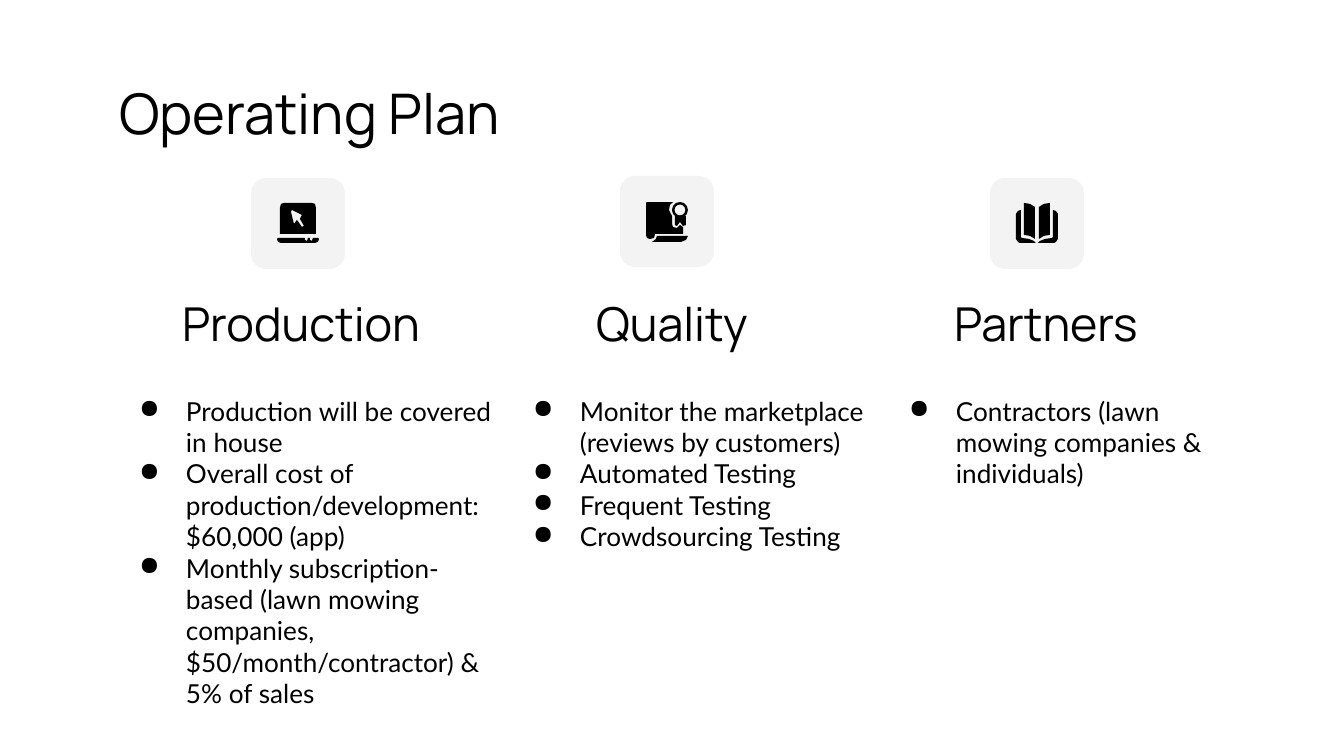
"""Build the Operating Plan slide with its three columns."""
from lxml import etree
from pptx import Presentation
from pptx.dml.color import RGBColor
from pptx.enum.shapes import MSO_SHAPE
from pptx.enum.text import MSO_ANCHOR, MSO_AUTO_SIZE, PP_ALIGN
from pptx.oxml.ns import qn
from pptx.util import Pt

PX = 914400 / 134.4
ROUNDED, DONUT = MSO_SHAPE.ROUNDED_RECTANGLE, MSO_SHAPE.DONUT
TOP, NO_FIT = MSO_ANCHOR.TOP, MSO_AUTO_SIZE.NONE
LEFT, CENTER = PP_ALIGN.LEFT, PP_ALIGN.CENTER
COLORS = {"ink": "000000", "tile": "F3F3F3"}

COLUMNS = [
    {"heading": "Production", "heading_left": 141, "tile": (251, 178),
     "body": (106, 402, 313),
     "bullets": ["Production will be covered in house",
                 "Overall cost of production/development: $60,000 (app)",
                 "Monthly subscription-based (lawn mowing companies, "
                 "$50/month/contractor) & 5% of sales"]},
    {"heading": "Quality", "heading_left": 512, "tile": (620, 176),
     "body": (500, 402, 171),
     "bullets": ["Monitor the marketplace (reviews by customers)",
                 "Automated Testing", "Frequent Testing",
                 "Crowdsourcing Testing"]},
    {"heading": "Partners", "heading_left": 886, "tile": (990, 178),
     "body": (876, 341, 171),
     "bullets": ["Contractors (lawn mowing companies & individuals)"]},
]

BOOK_COVER = [(1021, 210), (1018, 211), (1016, 214), (1016, 239), (1018, 242),
              (1020, 243), (1036, 243), (1034, 241), (1029, 239), (1022, 238),
              (1021, 237)]
BOOK_PAGE = [(1024, 203), (1030, 204), (1035, 207), (1035, 239), (1030, 236),
             (1024, 235)]
BOOK_HALF = [BOOK_COVER, BOOK_PAGE]
LAPTOP_SCREEN = [(284, 203), (281, 204), (280, 208), (280, 234), (316, 234),
                 (316, 208), (315, 204), (312, 203)]
LAPTOP_CURSOR = [(292, 210), (302, 215), (300, 219), (304, 226), (302, 227),
                 (297, 220), (294, 224), (291, 212)]
LAPTOP_BASE = [(278, 238), (277, 239), (278, 242), (281, 243), (315, 243),
               (318, 242), (319, 239), (318, 238), (313, 238), (312, 241),
               (310, 240), (310, 238), (308, 238), (307, 241), (305, 240),
               (305, 238)]
CERTIFICATE_SHEET = [(647, 202), (646, 203), (646, 235), (647, 238), (650, 239),
                     (654, 238), (655, 234), (683, 234), (683, 227), (680, 225),
                     (677, 228), (673, 227), (672, 224), (672, 216), (669, 210),
                     (670, 205), (673, 202)]
CERTIFICATE_FOLD = [(657, 236), (656, 239), (652, 242), (681, 242), (686, 240),
                    (688, 236)]
RIBBON = [(675, 216), (675, 225), (677, 226), (680, 222), (683, 226),
          (686, 225), (686, 216)]
OUTLINES = [[outline] for outline in BOOK_HALF]
OUTLINES += [[[(2074 - x, y) for x, y in outline]] for outline in BOOK_HALF]
OUTLINES += [[LAPTOP_SCREEN, LAPTOP_CURSOR], [LAPTOP_BASE],
             [CERTIFICATE_SHEET], [CERTIFICATE_FOLD], [RIBBON]]


def px(*lengths):
    return [round(length * PX) for length in lengths]


def write(shape, lines, font, size, align):
    frame = shape.text_frame
    frame.word_wrap = True
    frame.auto_size = NO_FIT
    frame.vertical_anchor = TOP
    frame.margin_left, frame.margin_top, frame.margin_right, frame.margin_bottom = px(*[13] * 4)
    frame.text = "\n".join(lines)
    for paragraph in frame.paragraphs:
        paragraph.alignment = align
        paragraph.line_spacing = 1.0
        paragraph.space_before = Pt(0)
        paragraph.font.name = font
        paragraph.font.size = Pt(size)
        paragraph.font.color.rgb = RGBColor.from_string(COLORS["ink"])
    return frame.paragraphs


presentation = Presentation()
presentation.slide_width, presentation.slide_height = px(1344, 756)
slide = presentation.slides.add_slide(presentation.slide_layouts[5])
shapes = slide.shapes

title = shapes.title
title.left, title.top, title.width, title.height = px(106, 66, 1133, 85)
write(title, ["Operating Plan"], "Manrope", 30, LEFT)

painted = []
for column in COLUMNS:
    tile = shapes.add_shape(ROUNDED, *px(*column["tile"], 94, 91))
    painted.append((tile, "tile"))

    heading = shapes.add_textbox(*px(column["heading_left"], 282, 320, 78))
    write(heading, [column["heading"]], "Manrope", 25, CENTER)

    left, width, height = column["body"]
    body = shapes.add_textbox(*px(left, 382, width, height))
    for paragraph in write(body, column["bullets"], "Lato", 14, LEFT):
        properties = paragraph._p.get_or_add_pPr()
        indent, hanging = px(67, -47)
        properties.set("marL", str(indent))
        properties.set("indent", str(hanging))
        bullet = etree.Element(qn("a:buChar"), char="●")
        properties.find(qn("a:defRPr")).addprevious(bullet)

for outline in OUTLINES:
    builder = shapes.build_freeform(*outline[0][0], scale=PX)
    builder.add_line_segments(outline[0][1:])
    for hole in outline[1:]:
        builder.move_to(*hole[0])
        builder.add_line_segments(hole[1:])
    painted.append((builder.convert_to_shape(), "ink"))

medal = shapes.add_shape(DONUT, *px(672, 202, 16, 16))
medal.adjustments[0] = 0.16
painted.append((medal, "ink"))

for shape, color in painted:
    shape.shadow.inherit = False
    shape.fill.solid()
    shape.fill.fore_color.rgb = RGBColor.from_string(COLORS[color])
    shape.line.fill.background()

presentation.save("out.pptx")
